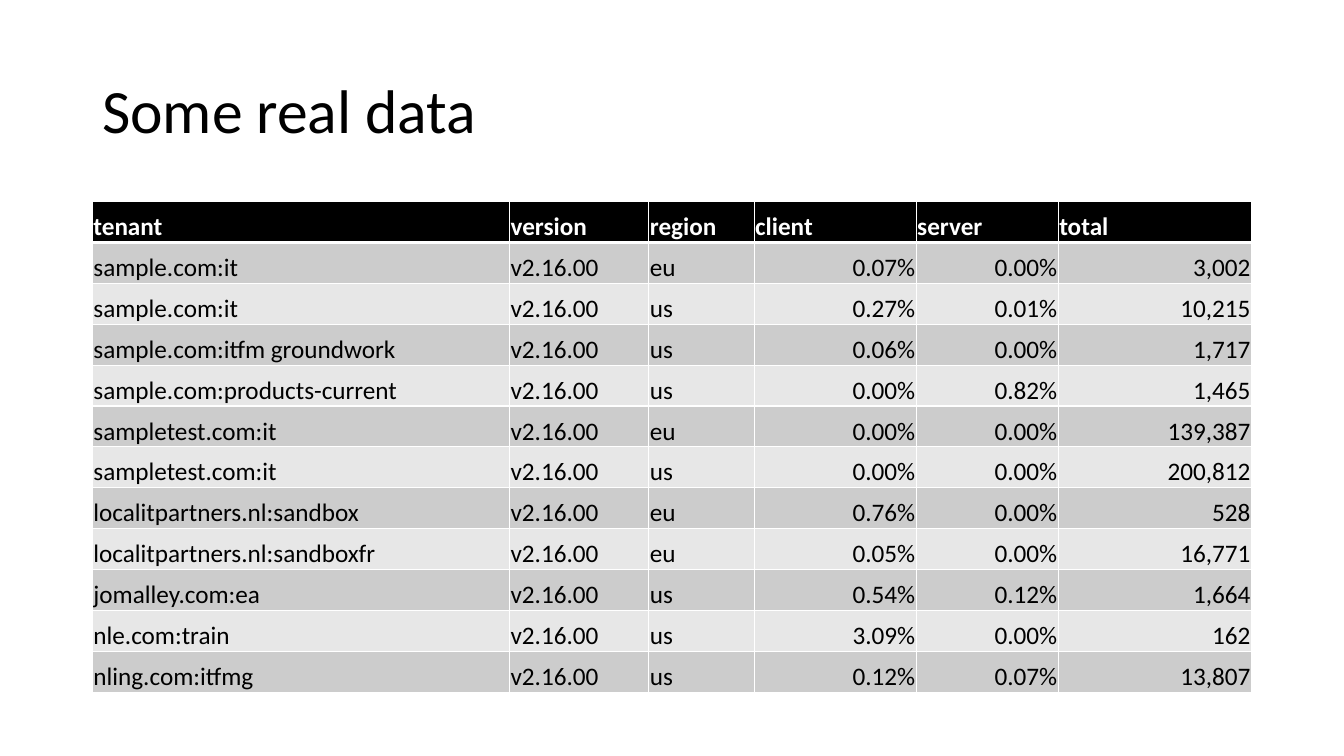
from typing import NamedTuple

from lxml.etree import SubElement
from pptx import Presentation
from pptx.dml.color import RGBColor
from pptx.enum.text import MSO_ANCHOR as Anchor, PP_ALIGN as Align
from pptx.oxml.ns import qn
from pptx.util import Pt

FONT = "Calibri"
BLACK, WHITE = "000000", "FFFFFF"
BANDS = ("CCCCCC", "E7E7E7")
LEFT, WIDTH = 66, 828
TABLE_TOP, ROW_HEIGHT = 144, 29.2
VERSION = "v2.16.00"
CELL_FORMAT = {
    "vertical_anchor": Anchor.BOTTOM,
    "margin_left": Pt(0.75),
    "margin_top": Pt(0.75),
    "margin_right": Pt(0.75),
    "margin_bottom": 0,
}


class Column(NamedTuple):
    """Heading, width in points and body alignment of a table column."""
    heading: str
    width: float
    align: Align = Align.LEFT


class Usage(NamedTuple):
    """Figures of one tenant in one region."""
    tenant: str
    region: str
    client: float
    server: float
    total: int

    def texts(self) -> list[str]:
        """Return the cell texts of this row."""
        return [self.tenant, VERSION, self.region, f"{self.client:.2f}%",
                f"{self.server:.2f}%", f"{self.total:,}"]


COLUMNS = [
    Column("tenant", 298),
    Column("version", 99.5),
    Column("region", 75.25),
    Column("client", 115.75, Align.RIGHT),
    Column("server", 101.5, Align.RIGHT),
    Column("total", 138, Align.RIGHT),
]
USAGES = [
    Usage("sample.com:it", "eu", 0.07, 0, 3002),
    Usage("sample.com:it", "us", 0.27, 0.01, 10215),
    Usage("sample.com:itfm groundwork", "us", 0.06, 0, 1717),
    Usage("sample.com:products-current", "us", 0, 0.82, 1465),
    Usage("sampletest.com:it", "eu", 0, 0, 139387),
    Usage("sampletest.com:it", "us", 0, 0, 200812),
    Usage("localitpartners.nl:sandbox", "eu", 0.76, 0, 528),
    Usage("localitpartners.nl:sandboxfr", "eu", 0.05, 0, 16771),
    Usage("jomalley.com:ea", "us", 0.54, 0.12, 1664),
    Usage("nle.com:train", "us", 3.09, 0, 162),
    Usage("nling.com:itfmg", "us", 0.12, 0.07, 13807),
]


def rgb(color: str) -> RGBColor:
    """Turn a hex string into a colour."""
    return RGBColor.from_string(color)


def write(p, text: str, size: float, color: str, bold: bool = False) -> None:
    """Add a formatted run to a paragraph."""
    r = p.add_run()
    r.text = text
    for name, value in {"name": FONT, "size": Pt(size), "bold": bold}.items():
        setattr(r.font, name, value)
    r.font.color.rgb = rgb(color)


def set_borders(cell, top: float = 1, bottom: float = 1) -> None:
    """Give a cell white borders, with widths in points."""
    props = cell._tc.get_or_add_tcPr()
    widths = {"L": 1, "R": 1, "T": top, "B": bottom}
    for i, (side, width) in enumerate(widths.items()):
        line = SubElement(props, qn(f"a:ln{side}"), w=str(Pt(width)))
        fill = SubElement(line, qn("a:solidFill"))
        SubElement(fill, qn("a:srgbClr"), val=WHITE)
        props.insert(i, line)  # borders must precede the cell fill


def fill_cell(cell, text: str, fill: str, color: str, align: Align,
              bold: bool = False) -> None:
    """Write a cell and set its fill, anchor and margins."""
    for name, value in CELL_FORMAT.items():
        setattr(cell, name, value)
    cell.fill.solid()
    cell.fill.fore_color.rgb = rgb(fill)
    p = cell.text_frame.paragraphs[0]
    p.alignment = align
    write(p, text, 18, color, bold)


def add_title(s, text: str) -> None:
    """Add the slide title."""
    sp = s.shapes.add_textbox(Pt(LEFT), Pt(28.8), Pt(WIDTH), Pt(104.4))
    tf = sp.text_frame
    tf.word_wrap = True
    tf.vertical_anchor = Anchor.MIDDLE
    p = tf.paragraphs[0]
    p.line_spacing = 0.9
    write(p, text, 44, BLACK)


def add_usage_table(s, columns: list[Column], usages: list[Usage]) -> None:
    """Add the table with a black header and banded rows."""
    count = len(usages) + 1
    table = s.shapes.add_table(count, len(columns), Pt(LEFT), Pt(TABLE_TOP),
                               Pt(WIDTH), Pt(ROW_HEIGHT * count)).table
    for row in table.rows:
        row.height = Pt(ROW_HEIGHT)
    for j, column in enumerate(columns):
        table.columns[j].width = Pt(column.width)
        header = table.cell(0, j)
        fill_cell(header, column.heading, BLACK, WHITE, Align.LEFT, bold=True)
        set_borders(header, bottom=3)
        for i, usage in enumerate(usages):
            cell = table.cell(i + 1, j)
            fill_cell(cell, usage.texts()[j], BANDS[i % 2], BLACK, column.align)
            set_borders(cell, top=1 if i else 3)


prs = Presentation()
prs.slide_width, prs.slide_height = Pt(960), Pt(540)
s = prs.slides.add_slide(prs.slide_layouts[6])
add_title(s, "Some real data")
add_usage_table(s, COLUMNS, USAGES)
prs.save("out.pptx")
